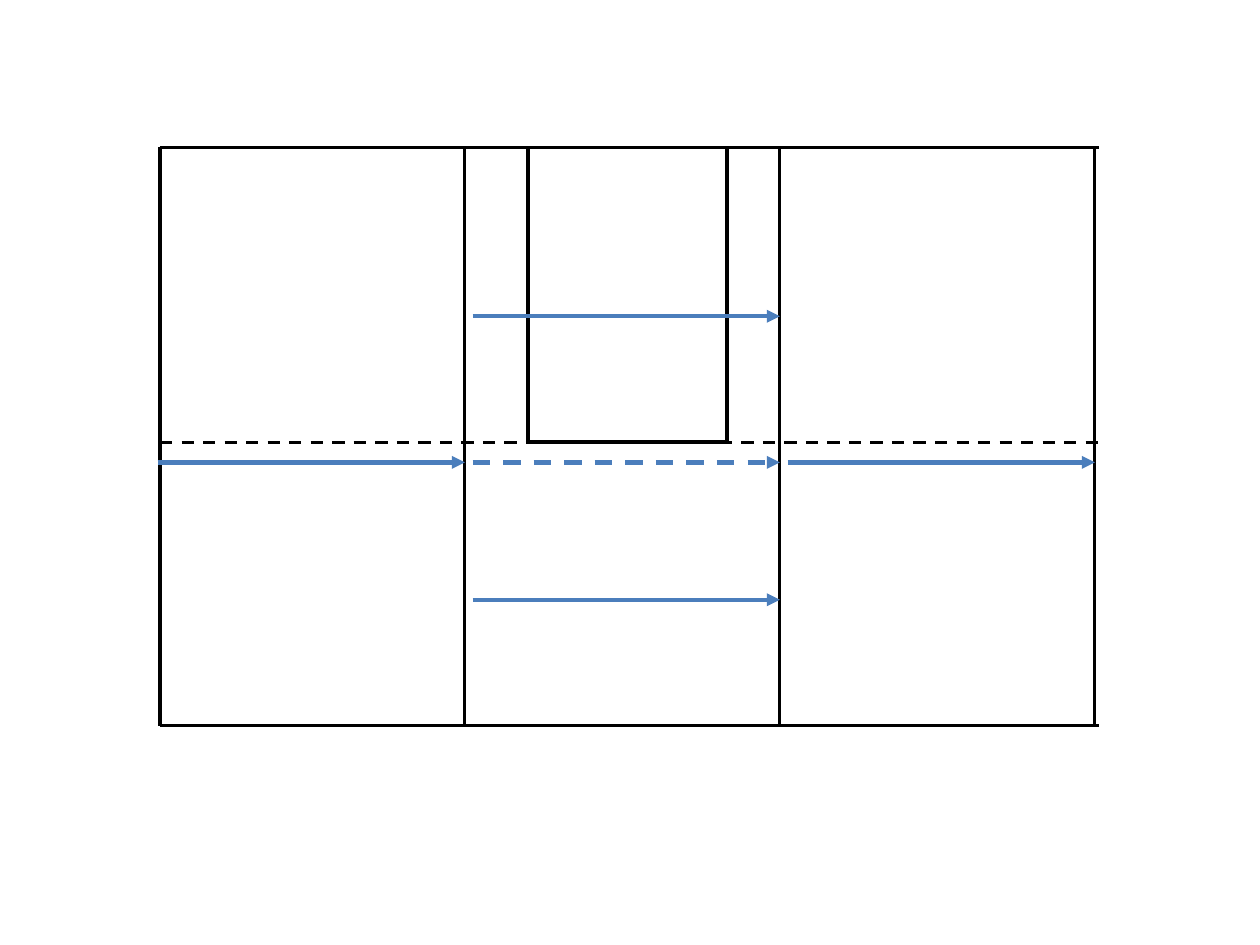
from dataclasses import dataclass

from lxml import etree
from pptx import Presentation
from pptx import util as u
from pptx.dml.color import RGBColor
from pptx.enum import dml, shapes
from pptx.oxml import ns
from pptx.shapes.shapetree import GroupShapes


@dataclass(frozen=True)
class Theme:
    wall: RGBColor = RGBColor(0x00, 0x00, 0x00)
    flow: RGBColor = RGBColor(0x4B, 0x7E, 0xBC)
    thin: float = 1.75
    thick: float = 2.5


@dataclass(frozen=True)
class Stroke:
    color: RGBColor
    weight: float
    dashed: bool = False
    arrow: bool = False


@dataclass(frozen=True)
class Segment:
    start: tuple[float, float]
    end: tuple[float, float]
    stroke: Stroke


THEME = Theme()
WIDTH, HEIGHT = u.Inches(10), u.Inches(7.5)

WALL = Stroke(THEME.wall, THEME.thin)
DIVIDER = Stroke(THEME.wall, THEME.thin, dashed=True)
INNER_WALL = Stroke(THEME.wall, THEME.thick)
FLOW = Stroke(THEME.flow, THEME.thick, arrow=True)
DASHED_FLOW = Stroke(THEME.flow, THEME.thick, dashed=True, arrow=True)

# Percentages of the slide's width and height
COLUMNS = (12.7, 36.9, 61.9, 86.9)
LEFT, RIGHT = COLUMNS[0], 87.2
TOP, MIDDLE, BOTTOM = 15.6, 46.8, 76.8
INNER_LEFT, INNER_RIGHT = 41.9, 57.7
UPPER_FLOW, MIDDLE_FLOW, LOWER_FLOW = 33.47, 48.93, 63.47
FLOW_LENGTH = 24.4


def vertical(x: float, top: float, bottom: float, stroke: Stroke) -> Segment:
    return Segment((x, top), (x, bottom), stroke)


def horizontal(y: float, left: float, right: float, stroke: Stroke) -> Segment:
    return Segment((left, y), (right, y), stroke)


def flow(column: int, y: float, stroke: Stroke = FLOW) -> Segment:
    tip = COLUMNS[column + 1]
    return horizontal(y, tip - FLOW_LENGTH, tip, stroke)


def point(position: tuple[float, float]) -> tuple[int, int]:
    x, y = position
    return round(WIDTH * x / 100), round(HEIGHT * y / 100)


def draw(canvas: GroupShapes, segment: Segment) -> None:
    connector = canvas.add_connector(
        shapes.MSO_CONNECTOR.STRAIGHT, *point(segment.start), *point(segment.end)
    )
    stroke = segment.stroke
    line = connector.line
    line.color.rgb = stroke.color
    line.width = u.Pt(stroke.weight)
    if stroke.dashed:
        line.dash_style = dml.MSO_LINE.DASH
    properties = connector._element.spPr
    if stroke.arrow:
        outline = properties.find(ns.qn("a:ln"))
        etree.SubElement(outline, ns.qn("a:tailEnd"), type="triangle")
    etree.SubElement(properties, ns.qn("a:effectLst"))


def main() -> None:
    deck = Presentation()
    deck.slide_width, deck.slide_height = WIDTH, HEIGHT
    page = deck.slides.add_slide(deck.slide_layouts[6])
    diagram = page.shapes.add_group_shape()
    segments = [
        *(vertical(x, TOP, BOTTOM, WALL) for x in COLUMNS),
        *(horizontal(y, LEFT, RIGHT, WALL) for y in (TOP, BOTTOM)),
        horizontal(MIDDLE, LEFT, RIGHT, DIVIDER),
        horizontal(MIDDLE, INNER_LEFT, INNER_RIGHT, INNER_WALL),
        *(vertical(x, MIDDLE, TOP, INNER_WALL) for x in (INNER_LEFT, INNER_RIGHT)),
        flow(0, MIDDLE_FLOW),
        flow(1, MIDDLE_FLOW, DASHED_FLOW),
        flow(1, UPPER_FLOW),
        flow(1, LOWER_FLOW),
        flow(2, MIDDLE_FLOW),
    ]
    for segment in segments:
        draw(diagram.shapes, segment)
    deck.save("out.pptx")


if __name__ == "__main__":
    main()
